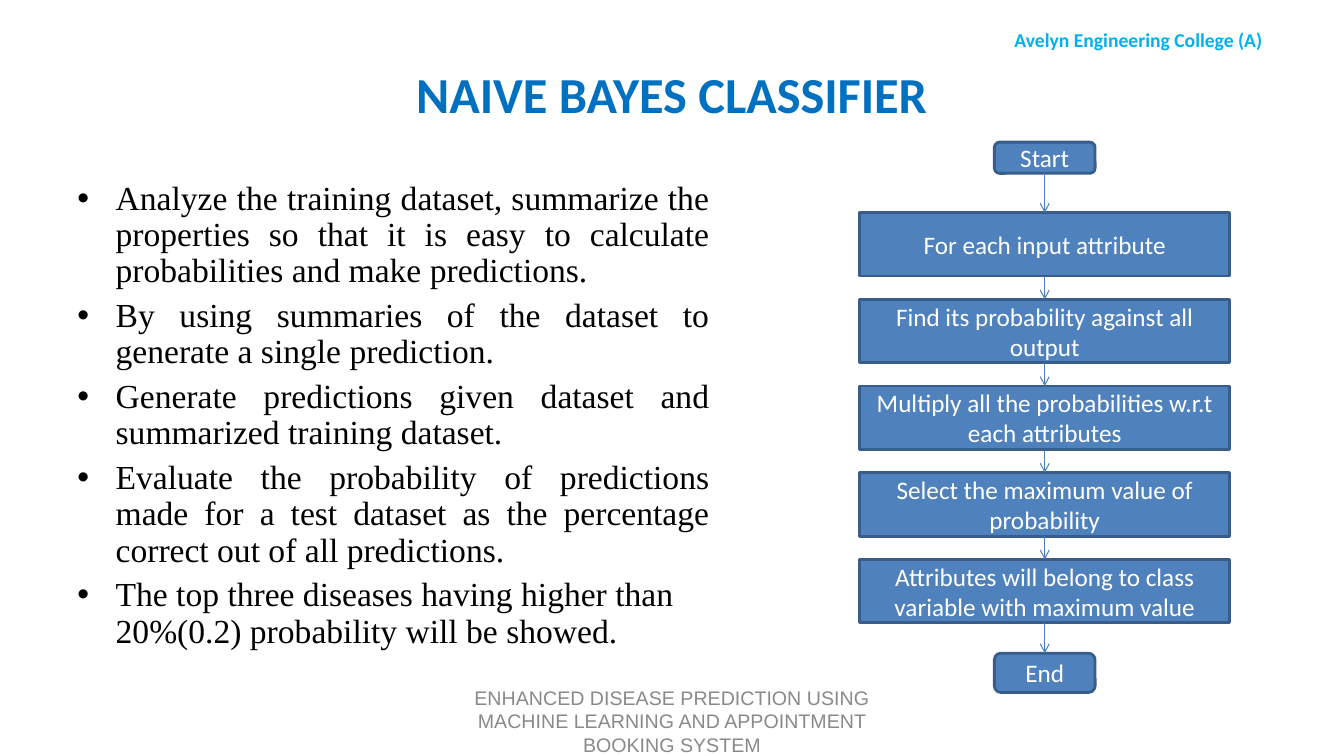
from lxml.etree import SubElement
from pptx import Presentation
from pptx.dml.color import RGBColor
from pptx.enum.shapes import MSO_CONNECTOR, MSO_SHAPE
from pptx.enum.text import MSO_ANCHOR, PP_ALIGN
from pptx.oxml.ns import qn
from pptx.util import Inches, Pt

TITLE = "NAIVE BAYES CLASSIFIER"
COLLEGE = "Avelyn Engineering College (A)"
FOOTER = "ENHANCED DISEASE PREDICTION USING MACHINE LEARNING AND APPOINTMENT BOOKING SYSTEM"
POINTS = [
    ("Analyze the training dataset, summarize the properties so that it is easy "
     "to calculate probabilities and make predictions.", PP_ALIGN.JUSTIFY),
    ("By using summaries of the dataset to generate a single prediction.", PP_ALIGN.JUSTIFY),
    ("Generate predictions given dataset and summarized training dataset.", PP_ALIGN.JUSTIFY),
    ("Evaluate the probability of predictions made for a test dataset as the "
     "percentage correct out of all predictions.", PP_ALIGN.JUSTIFY),
    ("The top three diseases having higher than 20%(0.2) probability will be showed.",
     PP_ALIGN.LEFT),
]
STEPS = [
    "For each input attribute",
    "Find its probability against all output",
    "Multiply all the probabilities w.r.t each attributes",
    "Select the maximum value of probability",
    "Attributes will belong to class variable with maximum value",
]

# Type styles are (font, size, colour, bold).
THEME = {
    "title": ("Calibri", 36, "0070C0", True),
    "body": ("Times New Roman", 24, "000000", False),
    "footer": ("Arial", 14, "898989", False),
    "college": ("Calibri", 14, "00B0F0", True),
    "node": ("Calibri", 18, "FFFFFF", False),
    "node_fill": "4F81BD",
    "node_line": "385D8A",
    "arrow": "4A7EBB",
}

# Flowchart geometry in inches
FLOW_CENTRE = 10.37
STEP_TOP, STEP_PITCH, STEP_WIDTH, STEP_HEIGHT = 2.11, 0.86, 3.67, 0.63
TERMINAL_WIDTH = 1
START_TOP, START_HEIGHT = 1.41, 0.31
END_TOP, END_HEIGHT = 6.48, 0.39
BULLET_INDENT = Inches(0.38)


def colour(name):
    return RGBColor.from_string(THEME[name])


def style_paragraph(para, text, style, align):
    name, size, shade, bold = THEME[style]
    para.text = text
    para.alignment = align
    para.font.name = name
    para.font.size = Pt(size)
    para.font.bold = bold
    para.font.color.rgb = RGBColor.from_string(shade)


def add_text(page, bounds, text, style, align=PP_ALIGN.CENTER, anchor=MSO_ANCHOR.MIDDLE):
    box = page.shapes.add_textbox(*map(Inches, bounds))
    box.text_frame.word_wrap = True
    box.text_frame.vertical_anchor = anchor
    style_paragraph(box.text_frame.paragraphs[0], text, style, align)
    return box


def add_bullets(page, bounds):
    frame = page.shapes.add_textbox(*map(Inches, bounds)).text_frame
    frame.word_wrap = True
    for index, (text, align) in enumerate(POINTS):
        para = frame.add_paragraph() if index else frame.paragraphs[0]
        style_paragraph(para, text, "body", align)
        para.line_spacing = 0.9
        para.space_before = Pt(6)
        properties = para._p.get_or_add_pPr()
        properties.set("marL", str(BULLET_INDENT))
        properties.set("indent", str(-BULLET_INDENT))
        bullet_font = properties.makeelement(qn("a:buFont"), {"typeface": "Arial"})
        bullet = properties.makeelement(qn("a:buChar"), {"char": "•"})
        defaults = properties.find(qn("a:defRPr"))
        defaults.addprevious(bullet_font)
        defaults.addprevious(bullet)


def add_node(page, preset, top, width, height, text):
    """Add a flowchart box centred on the flow's axis."""
    bounds = (FLOW_CENTRE - width / 2, top, width, height)
    node = page.shapes.add_shape(preset, *map(Inches, bounds))
    node.shadow.inherit = False
    node.fill.solid()
    node.fill.fore_color.rgb = colour("node_fill")
    node.line.color.rgb = colour("node_line")
    node.line.width = Pt(2)
    node.text_frame.word_wrap = True
    node.text_frame.vertical_anchor = MSO_ANCHOR.MIDDLE
    style_paragraph(node.text_frame.paragraphs[0], text, "node", PP_ALIGN.CENTER)
    return node


def add_arrow(page, upper, lower):
    arrow = page.shapes.add_connector(MSO_CONNECTOR.STRAIGHT, 0, 0, 0, 0)
    arrow.begin_connect(upper, 2)
    arrow.end_connect(lower, 0)
    arrow.line.color.rgb = colour("arrow")
    arrow.line.width = Pt(0.75)
    SubElement(arrow.line._get_or_add_ln(), qn("a:tailEnd"), type="arrow")
    SubElement(arrow._element.spPr, qn("a:effectLst"))


def add_flowchart(page):
    rounded, plain = MSO_SHAPE.ROUNDED_RECTANGLE, MSO_SHAPE.RECTANGLE
    nodes = [add_node(page, rounded, START_TOP, TERMINAL_WIDTH, START_HEIGHT, "Start")]
    for index, step in enumerate(STEPS):
        top = STEP_TOP + index * STEP_PITCH
        nodes.append(add_node(page, plain, top, STEP_WIDTH, STEP_HEIGHT, step))
    nodes.append(add_node(page, rounded, END_TOP, TERMINAL_WIDTH, END_HEIGHT, "End"))
    for upper, lower in zip(nodes, nodes[1:]):
        add_arrow(page, upper, lower)


def main():
    deck = Presentation()
    deck.slide_width, deck.slide_height = Inches(13.34), Inches(7.5)
    page = deck.slides.add_slide(deck.slide_layouts[6])
    add_text(page, (0.67, 0.3, 12, 1.25), TITLE, "title")
    add_bullets(page, (0.67, 1.75, 6.47, 4.95))
    add_text(page, (4.56, 6.95, 4.22, 0.4), FOOTER, "footer")
    add_text(page, (9.97, 0.23, 3.36, 0.34), COLLEGE, "college", PP_ALIGN.LEFT, MSO_ANCHOR.TOP)
    add_flowchart(page)
    deck.save("out.pptx")


if __name__ == "__main__":
    main()
